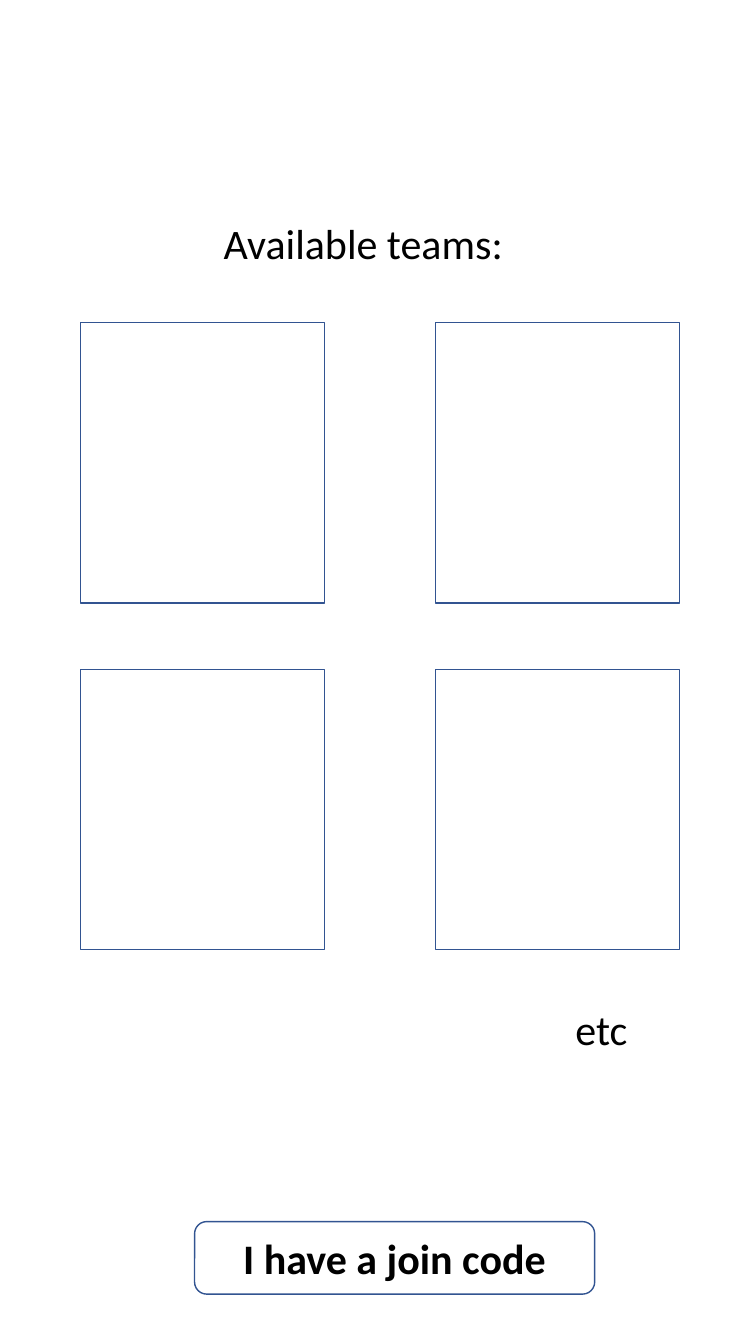
from dataclasses import dataclass
from itertools import product

from pptx import Presentation
from pptx.dml.color import RGBColor
from pptx.enum.shapes import MSO_SHAPE
from pptx.enum.text import MSO_ANCHOR, PP_ALIGN
from pptx.util import Pt


@dataclass(frozen=True)
class Theme:
    font: str = "Calibri"
    size: float = 30
    text: RGBColor = RGBColor(0, 0, 0)
    background: RGBColor = RGBColor(255, 255, 255)
    outline: RGBColor = RGBColor(0x32, 0x54, 0x91)
    line_width: float = 1


class Screen:
    def __init__(self, slide, theme):
        self.s = slide
        self.theme = theme
        fill = slide.background.fill
        fill.solid()
        fill.fore_color.rgb = theme.background

    def set_text(self, sp, text, align=PP_ALIGN.LEFT, bold=False):
        tf = sp.text_frame
        tf.text = text
        tf.word_wrap = False
        tf.vertical_anchor = MSO_ANCHOR.MIDDLE
        p = tf.paragraphs[0]
        p.alignment = align
        p.line_spacing = 1.0
        p.space_before = Pt(0)
        font = p.runs[0].font
        font.name = self.theme.font
        font.size = Pt(self.theme.size)
        font.bold = bold
        font.color.rgb = self.theme.text

    def title(self, text, x, y, w, h):
        sp = self.s.shapes.title
        sp.left, sp.top, sp.width, sp.height = Pt(x), Pt(y), Pt(w), Pt(h)
        self.set_text(sp, text)

    def label(self, text, x, y, w, h):
        sp = self.s.shapes.add_textbox(Pt(x), Pt(y), Pt(w), Pt(h))
        self.set_text(sp, text)

    def box(self, x, y, w, h, kind=MSO_SHAPE.RECTANGLE):
        sp = self.s.shapes.add_shape(kind, Pt(x), Pt(y), Pt(w), Pt(h))
        sp.shadow.inherit = False
        sp.fill.background()
        sp.line.color.rgb = self.theme.outline
        sp.line.width = Pt(self.theme.line_width)
        return sp

    def button(self, text, x, y, w, h):
        sp = self.box(x, y, w, h, MSO_SHAPE.ROUNDED_RECTANGLE)
        self.set_text(sp, text, PP_ALIGN.CENTER, bold=True)


prs = Presentation()
prs.slide_width, prs.slide_height = Pt(540), Pt(960)
screen = Screen(prs.slides.add_slide(prs.slide_layouts[5]), Theme())

screen.title("Available teams:", 152.6, 151.2, 216, 44)

CARD_W, CARD_H = 174.2, 200.2
GAP_X, GAP_Y = 79.2, 47.5
GRID_LEFT, GRID_TOP = 57.6, 230.4
for row, col in product(range(2), repeat=2):
    screen.box(GRID_LEFT + col * (CARD_W + GAP_X),
               GRID_TOP + row * (CARD_H + GAP_Y), CARD_W, CARD_H)

screen.label("etc", 403.9, 712.8, 51.8, 44)
screen.button("I have a join code", 139, 872.6, 285.8, 51.8)

prs.save("out.pptx")
